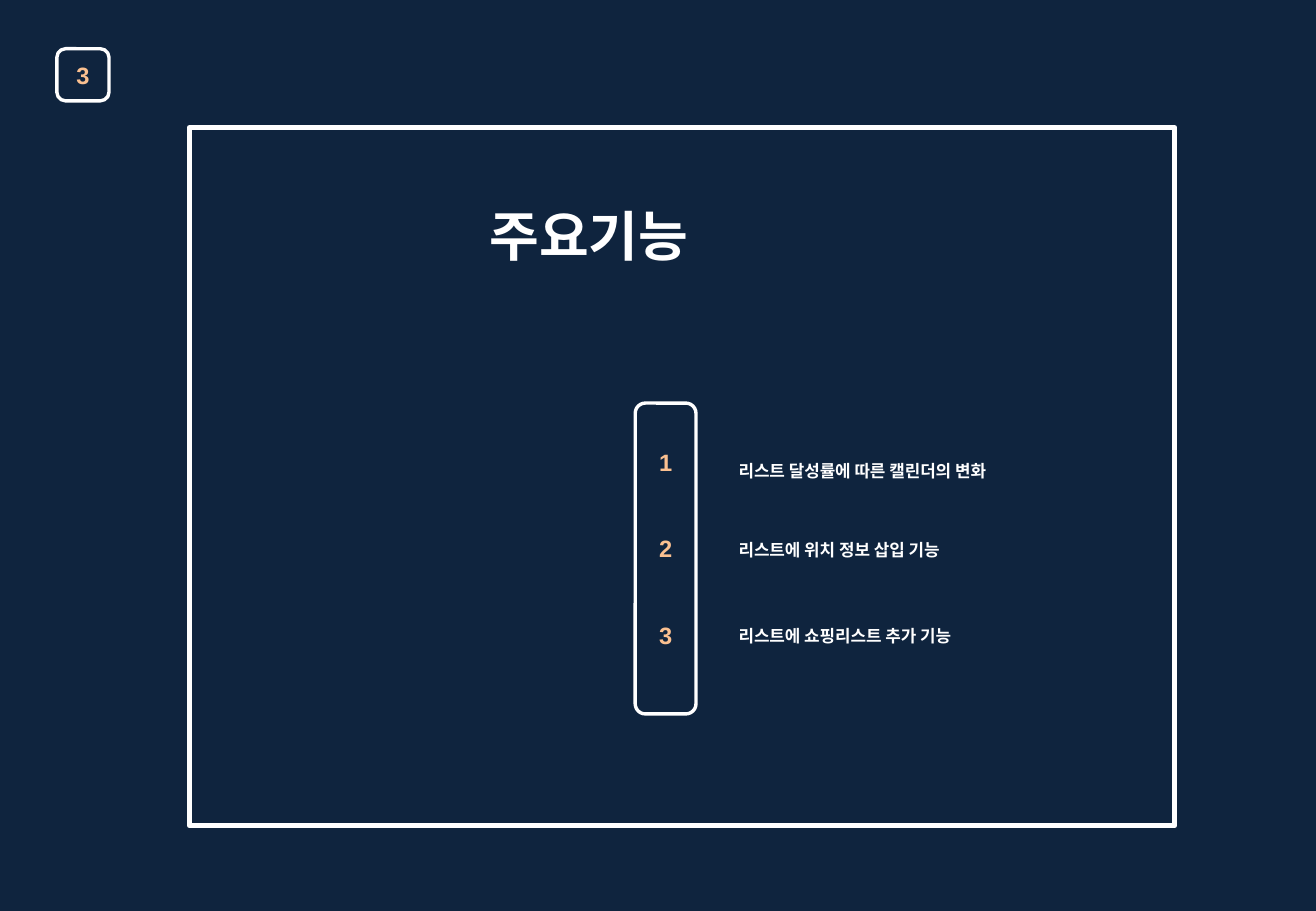
from dataclasses import dataclass

from lxml.etree import SubElement
from pptx import Presentation
from pptx.dml.color import RGBColor
from pptx.enum.shapes import MSO_SHAPE
from pptx.enum.text import MSO_ANCHOR, PP_ALIGN
from pptx.oxml.ns import qn
from pptx.util import Cm, Pt

TITLE = "주요기능"
SECTION = "3"
FEATURES = [
    ("1", "리스트 달성률에 따른 캘린더의 변화", 9.5),
    ("2", "리스트에 위치 정보 삽입 기능", 11.15),
    ("3", "리스트에 쇼핑리스트 추가 기능", 12.95),
]


@dataclass(frozen=True)
class Theme:
    navy: RGBColor = RGBColor(0x0F, 0x24, 0x3E)
    white: RGBColor = RGBColor(0xFF, 0xFF, 0xFF)
    peach: RGBColor = RGBColor(0xFA, 0xC0, 0x90)
    korean: str = "Noto Sans CJK KR"
    latin: str = "Arial"
    title: int = 32
    number: int = 14
    feature: int = 10


theme = Theme()

deck = Presentation()
deck.slide_width, deck.slide_height = Cm(27.51), Cm(19.05)
slide = deck.slides.add_slide(deck.slide_layouts[6])
slide.background.fill.solid()
slide.background.fill.fore_color.rgb = theme.navy


def write(holder, lines, size, color=theme.white, font=theme.korean,
          align=PP_ALIGN.LEFT, anchor=MSO_ANCHOR.TOP, gap=0, top=0.13):
    frame = holder.text_frame
    frame.word_wrap = True
    frame.vertical_anchor = anchor
    frame.margin_top = Cm(top)
    for index, line in enumerate(lines):
        paragraph = frame.paragraphs[0] if index == 0 else frame.add_paragraph()
        paragraph.alignment = align
        paragraph.space_after = Pt(gap)
        run = paragraph.add_run()
        run.text = line
        run.font.size = Pt(size)
        run.font.bold = True
        run.font.color.rgb = color
        run.font.name = font
        SubElement(run.font._element, qn("a:ea")).set("typeface", font)


def label(text, left, top, width, height, size):
    box = slide.shapes.add_textbox(Cm(left), Cm(top), Cm(width), Cm(height))
    write(box, [text], size)


def outline(preset, left, top, width, height, weight):
    shape = slide.shapes.add_shape(preset, Cm(left), Cm(top), Cm(width), Cm(height))
    shape.shadow.inherit = False
    shape.fill.background()
    shape.line.color.rgb = theme.white
    shape.line.width = Pt(weight)
    return shape


label(TITLE, 9.98, 4.11, 7.7, 1.63, theme.title)
for number, feature, top in FEATURES:
    label(feature, 15.19, top, 6.58, 0.69, theme.feature)

outline(MSO_SHAPE.RECTANGLE, 3.96, 2.67, 20.6, 14.6, 3)
number_column = outline(MSO_SHAPE.ROUNDED_RECTANGLE, 13.28, 8.43, 1.27, 6.5, 2)
section_badge = outline(MSO_SHAPE.ROUNDED_RECTANGLE, 1.19, 1.02, 1.09, 1.09, 2)

number_style = dict(size=theme.number, color=theme.peach, font=theme.latin,
                    align=PP_ALIGN.CENTER)
write(number_column, [number for number, feature, top in FEATURES],
      gap=34.3, top=0.88, **number_style)
write(section_badge, [SECTION], anchor=MSO_ANCHOR.MIDDLE, **number_style)

deck.save("out.pptx")
